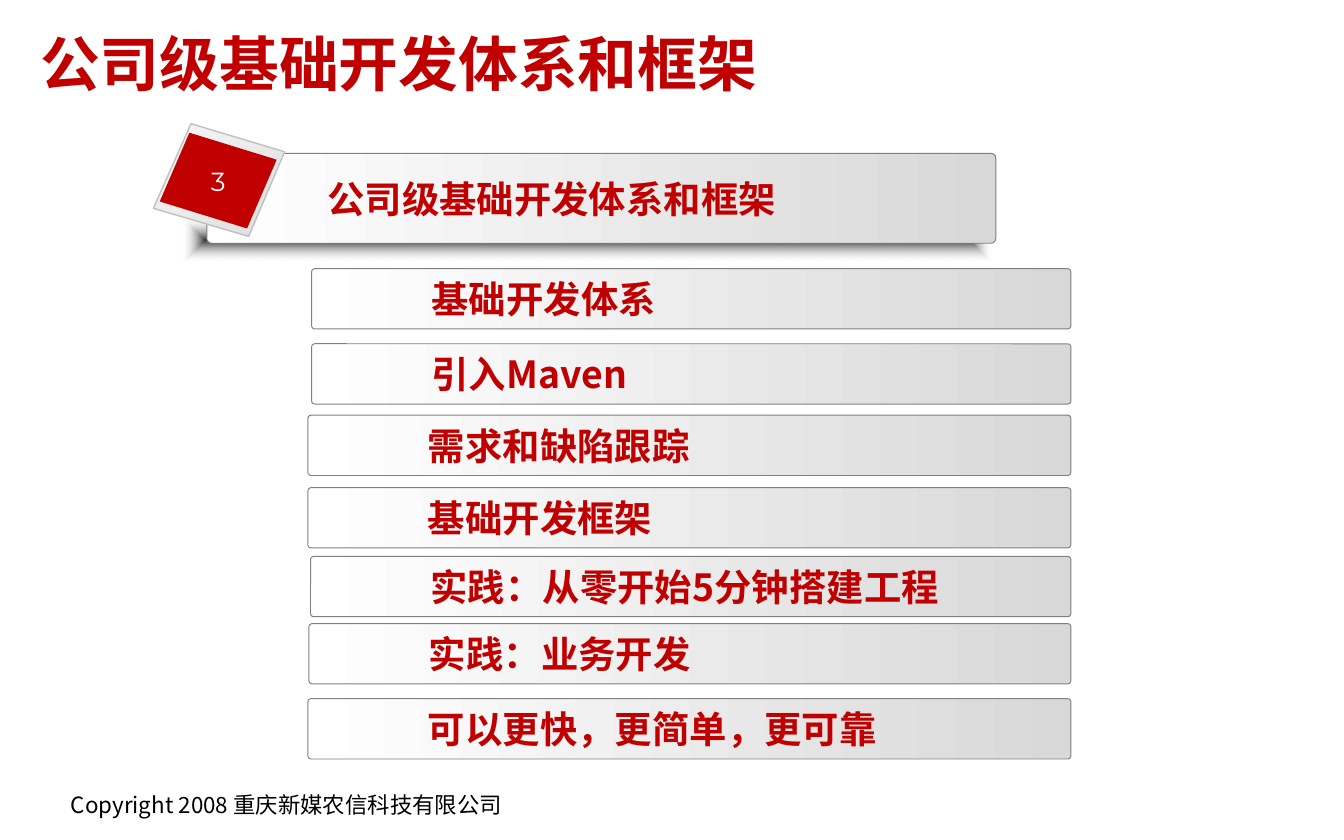
from lxml.etree import SubElement
from pptx import Presentation
from pptx.dml.color import RGBColor
from pptx.enum.shapes import MSO_SHAPE as Shape
from pptx.enum.text import MSO_ANCHOR as Anchor, PP_ALIGN as Align
from pptx.oxml.ns import qn
from pptx.util import Cm, Pt

# Content
TITLE = "公司级基础开发体系和框架"
NUMBER = "3"
COPYRIGHT = "Copyright 2008 重庆新媒农信科技有限公司"
TOPICS = [  # text, left, top in cm
    ("基础开发体系", 5.89, 5.08),
    ("引入Maven", 5.89, 6.5),
    ("需求和缺陷跟踪", 5.82, 7.85),
    ("基础开发框架", 5.82, 9.22),
    ("实践：从零开始5分钟搭建工程", 5.87, 10.52),
    ("实践：业务开发", 5.84, 11.79),
    ("可以更快，更简单，更可靠", 5.82, 13.21),
]
TOPIC_RIGHT, TOPIC_HEIGHT = 20.24, 1.14
CARD = [(4.7, 4.47), (2.9, 3.94), (3.61, 2.34), (5.38, 2.87)]
CARD_FACE = [(4.67, 4.32), (3.02, 3.81), (3.58, 2.51), (5.23, 3.02)]

COLORS = {
    "red": "C00000", "white": "FFFFFF", "black": "000000", "bar_end": "D8D8D8",
    "bar_line": "808080", "card_start": "F8F8F8", "card_end": "DDDDDD",
    "card_line": "C0C0C0", "shadow": "080808",
}
CJK, LATIN = "Noto Sans CJK SC", "Montserrat"


def color(name):
    return RGBColor.from_string(COLORS[name])


def write(box, text, size, ink, bold=False, font=CJK):
    box.text_frame.text = text
    para = box.text_frame.paragraphs[0]
    para.alignment = Align.LEFT
    span = para.runs[0]
    span.font.name = font
    span.font.size = Pt(size)
    span.font.bold = bold
    span.font.color.rgb = color(ink)
    SubElement(span.font._element, qn("a:ea"), typeface=font)
    return para


def add_text(page, area, *style, **options):
    box = page.shapes.add_textbox(*map(Cm, area))
    return box, write(box, *style, **options)


def gradient(shape, start, end, angle=0):
    shape.fill.gradient()
    shape.fill.gradient_angle = angle
    for stop, name, position in zip(shape.fill.gradient_stops, (start, end), (0, 1)):
        stop.color.rgb = color(name)
        stop.position = position


def outline(shape, name, width):
    shape.line.color.rgb = color(name)
    shape.line.width = Pt(width)


def add_bar(page, text, left, top, width, height):
    bar = page.shapes.add_shape(Shape.ROUNDED_RECTANGLE, *map(Cm, (left, top, width, height)))
    bar.adjustments[0] = 0.054
    bar.shadow.inherit = False
    gradient(bar, "white", "bar_end")
    outline(bar, "bar_line", 0.5)
    bar.text_frame.word_wrap = True
    bar.text_frame.vertical_anchor = Anchor.MIDDLE
    para = write(bar, text, 20, "red", bold=True)
    properties = para._p.get_or_add_pPr()
    properties.set("marL", "0")
    properties.set("indent", str(Cm(2)))


def add_polygon(page, points):
    corners = [(Cm(x), Cm(y)) for x, y in points]
    builder = page.shapes.build_freeform(*corners[0])
    builder.add_line_segments(corners[1:], close=True)
    polygon = builder.convert_to_shape()
    polygon.shadow.inherit = False
    return polygon


def add_soft_shadow(page, area):
    soft = page.shapes.add_shape(Shape.RECTANGLE, *map(Cm, area))
    soft.shadow.inherit = False
    soft.line.fill.background()
    gradient(soft, "shadow", "white")
    # Fade from the centre to the edges
    fill = soft._element.spPr.find(qn("a:gradFill"))
    for tint, alpha in zip(fill.iter(qn("a:srgbClr")), ("80000", "0")):
        SubElement(tint, qn("a:alpha"), val=alpha)
    fill.remove(fill.find(qn("a:lin")))
    fade = SubElement(fill, qn("a:path"), path="shape")
    SubElement(fade, qn("a:fillToRect"), l="50000", t="50000", r="50000", b="50000")


def main():
    deck = Presentation()
    deck.slide_width, deck.slide_height = Cm(25.4), Cm(15.88)
    page = deck.slides.add_slide(deck.slide_layouts[6])

    # Footer and title
    box, _ = add_text(page, (1.09, 14.83, 8.86, 0.74), COPYRIGHT, 12, "black")
    box.text_frame.word_wrap = False
    box, _ = add_text(page, (0.51, 0.33, 24.31, 1.7), TITLE, 32, "red", bold=True)
    box.text_frame.word_wrap = True
    box.text_frame.vertical_anchor = Anchor.MIDDLE

    # Heading bar with its shadow
    add_soft_shadow(page, (3.45, 4.11, 15.29, 0.86))
    add_bar(page, TITLE, 3.91, 2.9, 14.91, 1.7)

    # Tilted number card
    card = add_polygon(page, CARD)
    gradient(card, "card_start", "card_end", angle=315)
    outline(card, "card_line", 0.75)
    face = add_polygon(page, CARD_FACE)
    face.fill.solid()
    face.fill.fore_color.rgb = color("red")
    face.line.fill.background()
    box, para = add_text(page, (3.73, 3, 0.79, 0.84), NUMBER, 14, "white", font=LATIN)
    box.text_frame.word_wrap = False
    para.alignment = Align.CENTER
    para.runs[0].font._element.set("spc", "-70")

    # Topic bars share one right edge
    for text, left, top in TOPICS:
        add_bar(page, text, left, top, TOPIC_RIGHT - left, TOPIC_HEIGHT)

    deck.save("out.pptx")


if __name__ == "__main__":
    main()
